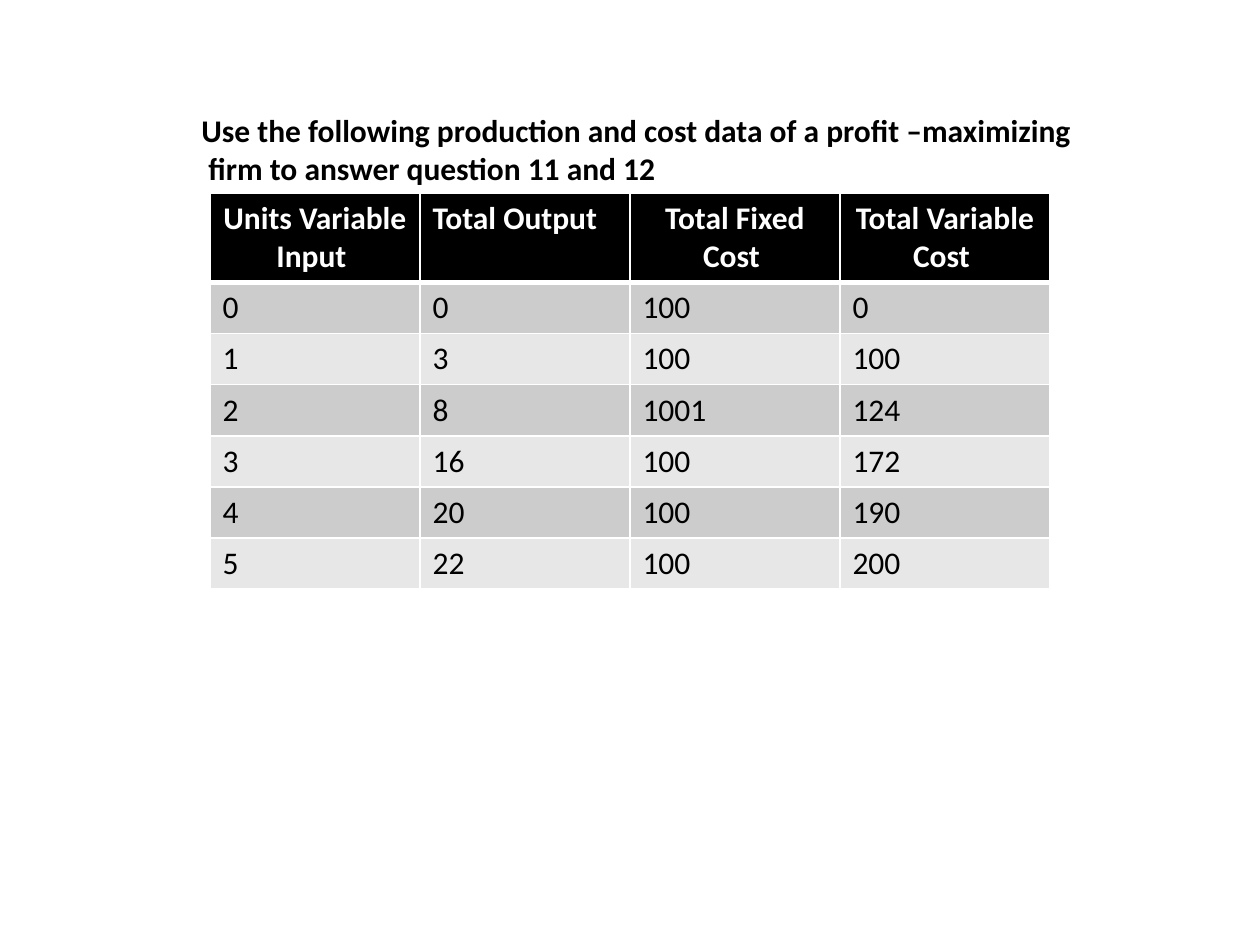
from dataclasses import dataclass

from lxml.etree import SubElement
from pptx import Presentation
from pptx.dml.color import RGBColor
from pptx.enum.text import MSO_AUTO_SIZE, PP_ALIGN
from pptx.oxml.ns import qn
from pptx.slide import Slide
from pptx.table import _Cell
from pptx.text.text import _Paragraph
from pptx.util import Emu, Pt

PIXELS_PER_INCH = 126
COLORS = {
    "black": "000000",
    "white": "FFFFFF",
    "dark_band": "CCCCCC",
    "light_band": "E7E7E7",
}


@dataclass(frozen=True)
class Box:
    left: int
    top: int
    width: int
    height: int


@dataclass(frozen=True)
class Column:
    heading: str
    values: tuple[int, ...]
    alignment: PP_ALIGN = PP_ALIGN.CENTER


@dataclass(frozen=True)
class CellStyle:
    fill: str
    text: str
    bold: bool
    top_border: int
    bottom_border: int


QUESTION_BOX = Box(189, 105, 903, 89)
TABLE_BOX = Box(210, 193, 840, 395)
HEADER_HEIGHT = 89
QUESTION_LINES = (
    "Use the following production and cost data of a profit –maximizing",
    " firm to answer question 11 and 12",
)
COLUMNS = (
    Column("Units Variable Input ", (0, 1, 2, 3, 4, 5)),
    Column("Total Output", (0, 3, 8, 16, 20, 22), PP_ALIGN.LEFT),
    Column("Total Fixed Cost ", (100, 100, 1001, 100, 100, 100)),
    Column("Total Variable Cost ", (0, 100, 124, 172, 190, 200)),
)
HEADER_STYLE = CellStyle("black", "white", True, 1, 3)
FIRST_ROW_STYLE = CellStyle("dark_band", "black", False, 3, 1)
DARK_STYLE = CellStyle("dark_band", "black", False, 1, 1)
LIGHT_STYLE = CellStyle("light_band", "black", False, 1, 1)


def px(length: int) -> Emu:
    return Emu(round(length * 914400 / PIXELS_PER_INCH))


def place(box: Box) -> tuple[Emu, Emu, Emu, Emu]:
    return px(box.left), px(box.top), px(box.width), px(box.height)


def format_runs(paragraph: _Paragraph, color: str, bold: bool) -> None:
    for run in paragraph.runs:
        run.font.name = "Calibri"
        run.font.size = Pt(18)
        run.font.bold = bold
        run.font.color.rgb = RGBColor.from_string(COLORS[color])


def set_borders(cell: _Cell, style: CellStyle) -> None:
    properties = cell._tc.get_or_add_tcPr()
    widths = {"lnL": 1, "lnR": 1, "lnT": style.top_border, "lnB": style.bottom_border}
    for side, width in widths.items():
        line = SubElement(properties, qn(f"a:{side}"), w=str(Pt(width)))
        fill = SubElement(line, qn("a:solidFill"))
        SubElement(fill, qn("a:srgbClr"), val=COLORS["white"])


def fill_cell(cell: _Cell, text: str, style: CellStyle, alignment: PP_ALIGN) -> None:
    set_borders(cell, style)
    cell.fill.solid()
    cell.fill.fore_color.rgb = RGBColor.from_string(COLORS[style.fill])
    cell.text_frame.text = text
    paragraph = cell.text_frame.paragraphs[0]
    paragraph.alignment = alignment
    format_runs(paragraph, style.text, style.bold)


def row_style(row: int) -> CellStyle:
    if row == 1:
        return FIRST_ROW_STYLE
    return DARK_STYLE if row % 2 else LIGHT_STYLE


def add_cost_table(slide: Slide) -> None:
    data_rows = len(COLUMNS[0].values)
    table = slide.shapes.add_table(
        data_rows + 1, len(COLUMNS), *place(TABLE_BOX)
    ).table
    for table_column in table.columns:
        table_column.width = px(TABLE_BOX.width // len(COLUMNS))
    for row, table_row in enumerate(table.rows):
        data_height = (TABLE_BOX.height - HEADER_HEIGHT) // data_rows
        table_row.height = px(data_height if row else HEADER_HEIGHT)
    for index, column in enumerate(COLUMNS):
        fill_cell(table.cell(0, index), column.heading, HEADER_STYLE, column.alignment)
        for row, value in enumerate(column.values, start=1):
            fill_cell(table.cell(row, index), str(value), row_style(row), PP_ALIGN.LEFT)


def add_question(slide: Slide) -> None:
    text_frame = slide.shapes.add_textbox(*place(QUESTION_BOX)).text_frame
    text_frame.word_wrap = False
    text_frame.auto_size = MSO_AUTO_SIZE.SHAPE_TO_FIT_TEXT
    text_frame.text = "\n".join(QUESTION_LINES)
    for paragraph in text_frame.paragraphs:
        format_runs(paragraph, "black", True)


def main() -> None:
    presentation = Presentation()
    presentation.slide_width = px(1260)
    presentation.slide_height = px(945)
    slide = presentation.slides.add_slide(presentation.slide_layouts[6])
    add_cost_table(slide)
    add_question(slide)
    presentation.save("out.pptx")


if __name__ == "__main__":
    main()
